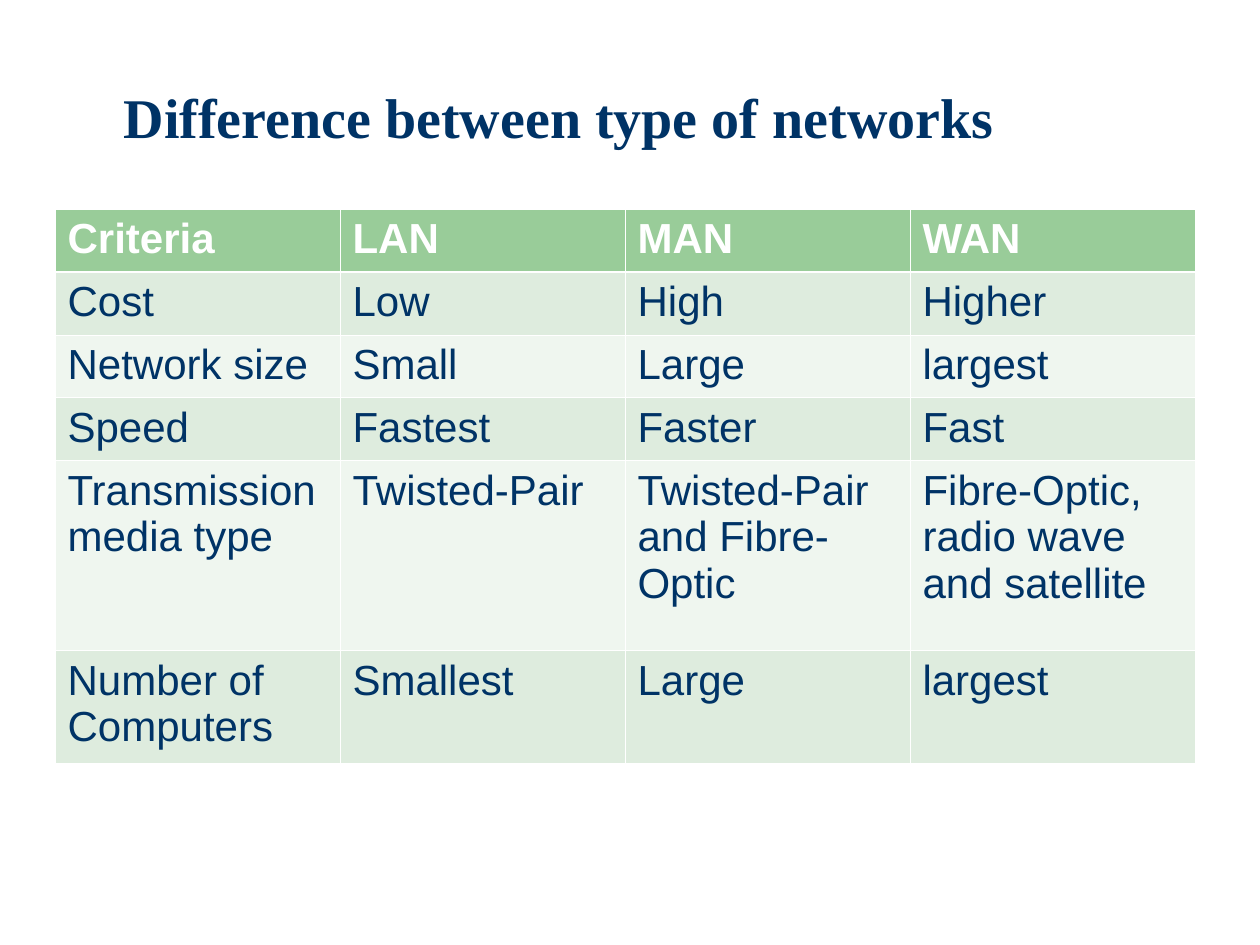
from lxml.etree import SubElement
from pptx import Presentation
from pptx.dml.color import RGBColor
from pptx.enum.text import MSO_ANCHOR, MSO_AUTO_SIZE, PP_ALIGN
from pptx.oxml.ns import qn
from pptx.util import Pt

PX = 914400 // 126
COLORS = {"navy": "003366", "white": "FFFFFF", "header": "99CC99",
          "dark_band": "DEECDE", "light_band": "EFF6EF"}
ROWS = [
    ["Criteria", "LAN", "MAN", "WAN"],
    ["Cost", "Low", "High", "Higher"],
    ["Network size", "Small", "Large", "largest"],
    ["Speed", "Fastest", "Faster", "Fast"],
    ["Transmission media type", "Twisted-Pair", "Twisted-Pair and Fibre-Optic",
     "Fibre-Optic, radio wave and satellite"],
    ["Number of Computers", "Smallest", "Large", "largest"],
]
COL_WIDTH = 285
ROW_HEIGHTS = [63, 63, 63, 63, 190, 113]


def write(tf, text, size=24, font="Arial", color="navy", bold=False):
    p = tf.paragraphs[0]
    p.alignment = PP_ALIGN.LEFT
    r = p.add_run()
    r.text = text
    r.font.size = Pt(size)
    r.font.name = font
    r.font.bold = bold
    r.font.color.rgb = RGBColor.from_string(COLORS[color])


def add_border(cell, side, width):
    ln = SubElement(cell._tc.get_or_add_tcPr(), qn(f"a:ln{side}"), w=str(Pt(width)))
    SubElement(SubElement(ln, qn("a:solidFill")), qn("a:srgbClr"), val=COLORS["white"])


prs = Presentation()
prs.slide_width, prs.slide_height = 1260 * PX, 945 * PX
s = prs.slides.add_slide(prs.slide_layouts[5])

title = s.shapes.title
title.left, title.top, title.width, title.height = 111 * PX, 76 * PX, 1121 * PX, 81 * PX
tf = title.text_frame
tf.word_wrap = True
tf.auto_size = MSO_AUTO_SIZE.NONE
tf.vertical_anchor = MSO_ANCHOR.MIDDLE
write(tf, "Difference between type of networks", size=32, font="Times New Roman", bold=True)

table = s.shapes.add_table(len(ROWS), len(ROWS[0]), 55 * PX, 209 * PX,
                           COL_WIDTH * len(ROWS[0]) * PX, sum(ROW_HEIGHTS) * PX).table
for col in table.columns:
    col.width = COL_WIDTH * PX
for i, (texts, height) in enumerate(zip(ROWS, ROW_HEIGHTS)):
    table.rows[i].height = height * PX
    band = "header" if i == 0 else "dark_band" if i % 2 else "light_band"
    for j, text in enumerate(texts):
        cell = table.cell(i, j)
        add_border(cell, "L", 0.45)
        add_border(cell, "R", 0.45)
        add_border(cell, "T", 1.47 if i == 1 else 0.45)
        add_border(cell, "B", 1.47 if i == 0 else 0.45)
        cell.fill.solid()
        cell.fill.fore_color.rgb = RGBColor.from_string(COLORS[band])
        write(cell.text_frame, text, color="navy" if i else "white", bold=i == 0)

prs.save("out.pptx")
